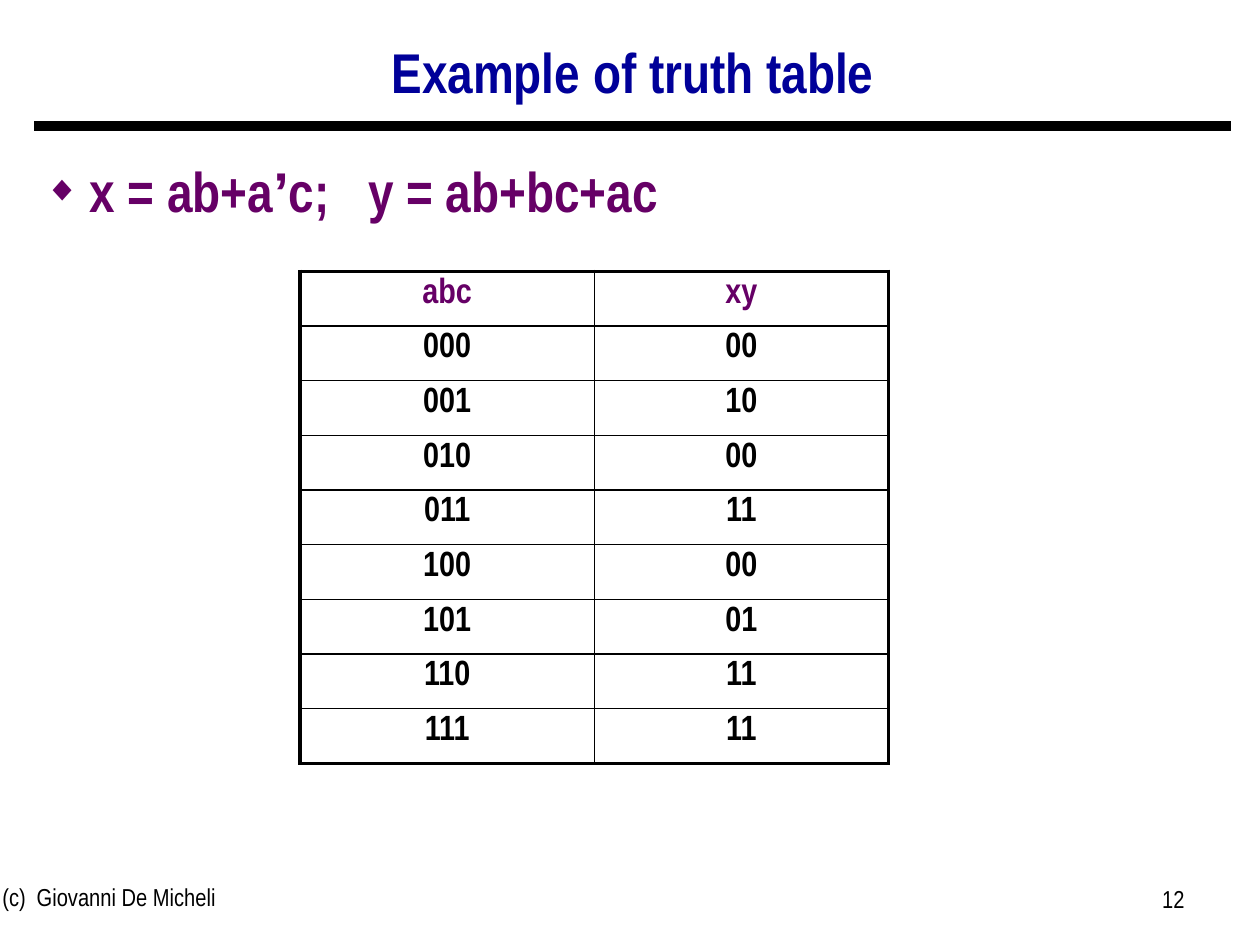
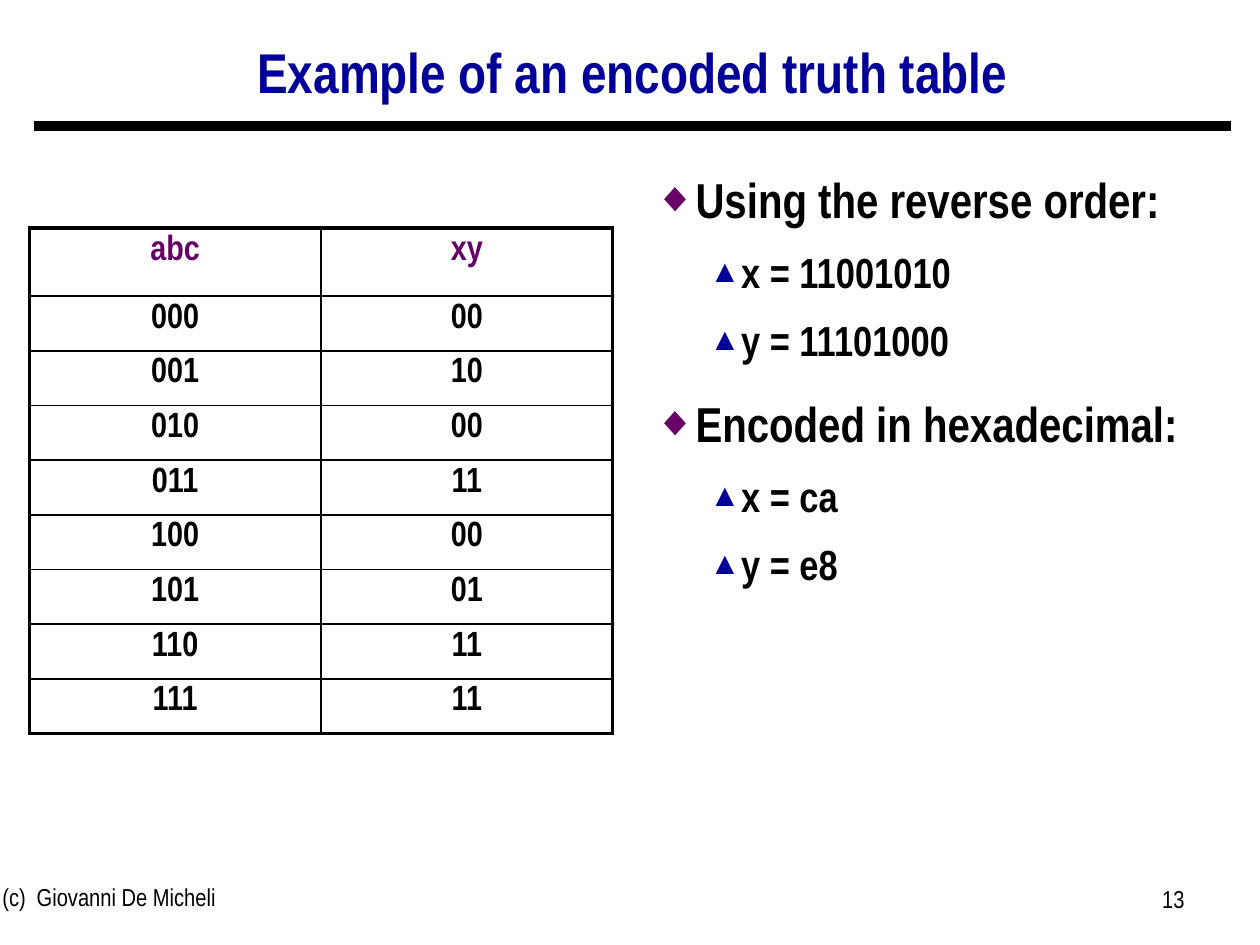
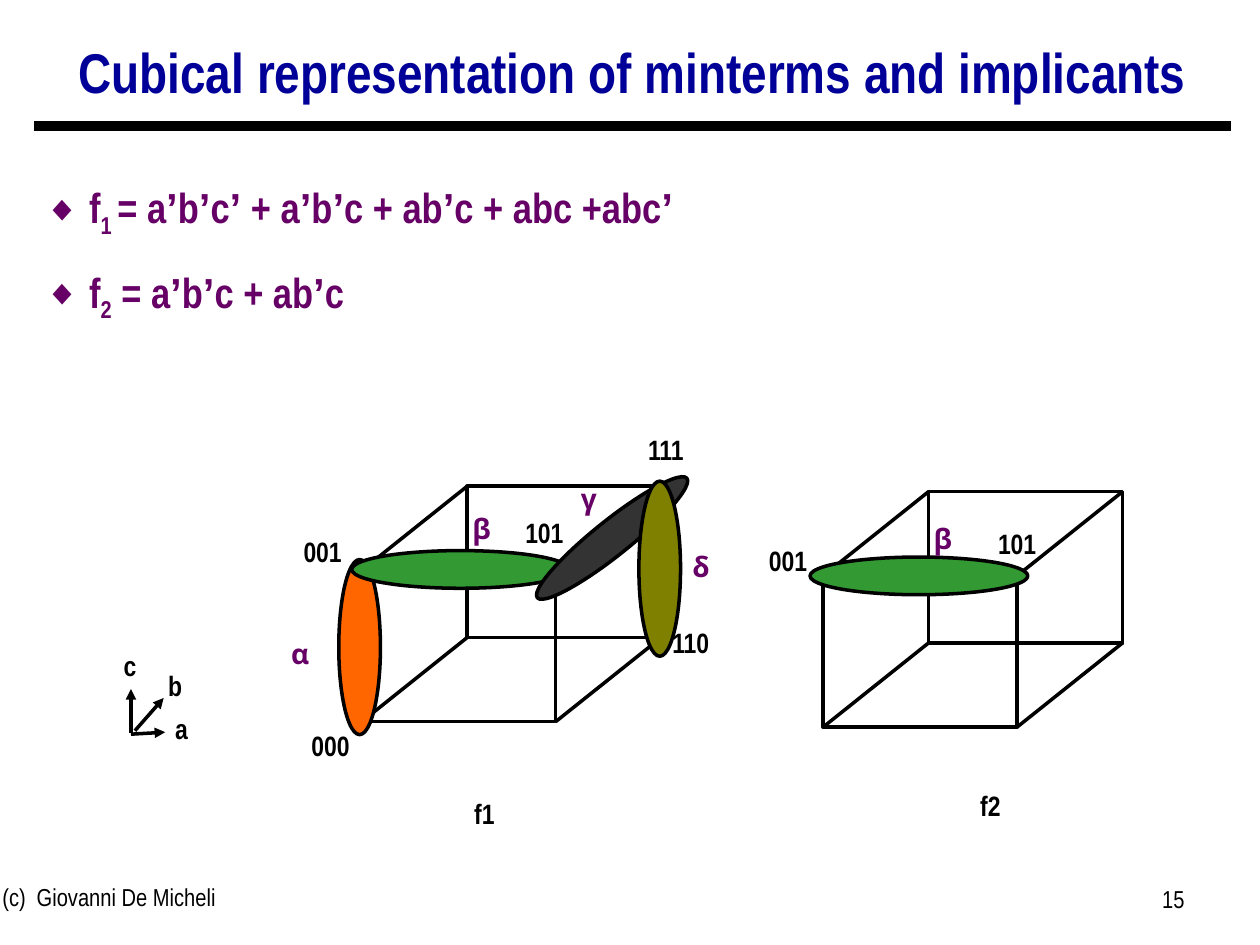
from itertools import groupby, product
from lxml.etree import SubElement as Sub
from pptx import Presentation
from pptx.dml.color import RGBColor as Rgb
from pptx.enum.shapes import MSO_CONNECTOR as Link, MSO_SHAPE as Kind
from pptx.enum.text import MSO_ANCHOR as Anchor, PP_ALIGN as Align
from pptx.oxml.ns import qn
from pptx.util import Cm, Pt

HUE = {"ink": "000000", "blue": "000099", "plum": "660066", "flame": "FF6600",
       "leaf": "339933", "coal": "333333", "olive": "808000"}
FONT = "Arial Narrow"
SUBS = {"₁": "1 ", "₂": "2"}


def write(par, text, size, hue="ink", bold=True, align=Align.LEFT, font=FONT,
          mark=None, tab=None):
    par.alignment = align
    props = par._p.get_or_add_pPr()
    if mark:
        sign, tint, scale, left, hang = mark
        props.set("marL", str(Cm(left)))
        props.set("indent", str(-Cm(hang)))
        Sub(Sub(props, qn("a:buClr")), qn("a:srgbClr"), val=HUE[tint])
        Sub(props, qn("a:buSzPct"), val=str(scale * 1000))
        Sub(props, qn("a:buFont"), typeface="Arial")
        Sub(props, qn("a:buChar"), char=sign)
    if tab:
        Sub(Sub(props, qn("a:tabLst")), qn("a:tab"), pos=str(Cm(tab)), algn="l")
    par.font.name, par.font.size, par.font.bold = font, Pt(size), bold
    par.font.color.rgb = Rgb.from_string(HUE[hue])
    for key, part in groupby(text, lambda c: c if c in "’₁₂" else ""):
        run = par.add_run()
        run.text = SUBS.get(key) or "".join(part)
        if key == "’":
            run.font.name = "Arial"
        elif key in SUBS:
            run.font._element.set("baseline", "-25000")


def draw(slide, start, end, width=2, arrow=False):
    line = slide.shapes.add_connector(
        Link.STRAIGHT, *[Cm(v) for v in (*start, *end)])
    line.line.color.rgb = Rgb.from_string(HUE["ink"])
    line.line.width = Pt(width)
    if arrow:
        Sub(line.line._get_or_add_ln(), qn("a:tailEnd"), type="triangle")
    Sub(line._element.spPr, qn("a:effectLst"))


deck = Presentation()
deck.slide_width, deck.slide_height = Cm(25.4), Cm(19.05)

gem = ("◆", "plum", 85, 0.91, 0.91)
head = ("◆", "plum", 85, 0.79, 0.79)
peak = ("▲", "blue", 75, 1.75, 0.64)
pages = [
    ("Example of truth table", 12, (0.64, 2.69, 17.48, 14.76), [
        ("x = ab+a’c;\ty = ab+bc+ac", 32, "plum", ("◆", "plum", 64, 0.91, 0.91), 6.53)]),
    ("Example of an encoded truth table", 13, (12.94, 3, 11.86, 14.45), [
        ("Using the reverse order:", 28, "ink", head, None),
        ("x = 11001010", 24, "ink", peak, None),
        ("y = 11101000", 24, "ink", peak, None),
        ("Encoded in hexadecimal:", 28, "ink", head, None),
        ("x = ca", 24, "ink", peak, None),
        ("y = e8", 24, "ink", peak, None)]),
    ("Cubical representation of minterms and implicants", 15, (0.64, 3.25, 15.49, 14.2), [
        ("f₁= a’b’c’ + a’b’c + ab’c + abc +abc’", 24, "plum", gem, None),
        ("f₂ = a’b’c + ab’c", 24, "plum", gem, None)]),
]
slides = []
for title, num, area, items in pages:
    slide = deck.slides.add_slide(deck.slide_layouts[6])
    slides.append(slide)
    draw(slide, (0.69, 2.54), (24.82, 2.54), 6)
    for box, text, size, hue, bold, align, tab in [
            ((0.68, 0.56, 24.16, 1.9), title, 32, "blue", True, Align.CENTER, None),
            ((-0.2, 17.65, 8.05, 1.32), "(c)\tGiovanni De Micheli", 14, "ink", False, Align.LEFT, 0.69),
            ((18.21, 17.69, 5.92, 1.32), str(num), 14, "ink", False, Align.RIGHT, None)]:
        frame = slide.shapes.add_textbox(*map(Cm, box)).text_frame
        frame.word_wrap = True
        if text == title:
            frame.vertical_anchor = Anchor.MIDDLE
            frame.paragraphs[0].line_spacing = 0.9
        write(frame.paragraphs[0], text, size, hue, bold, align, tab=tab)
    frame = slide.shapes.add_textbox(*map(Cm, area)).text_frame
    frame.word_wrap = True
    for i, (text, size, hue, mark, tab) in enumerate(items):
        par = frame.add_paragraph() if i else frame.paragraphs[0]
        par.line_spacing = 1.1 if mark == peak else 1.25
        if i:
            par.space_before = Pt(0.3 * size)
        write(par, text, size, hue, mark=mark, tab=tab)

outs = ["00", "10", "00", "11", "00", "01", "11", "11"]
rows = [("abc", "xy")] + [(f"{i:03b}", out) for i, out in enumerate(outs)]
for slide, left, top, wide, first in [(slides[0], 6.05, 5.47, 11.86, 1.09),
                                      (slides[1], 0.59, 4.6, 11.76, 1.37)]:
    grid = slide.shapes.add_table(
        len(rows), 2, Cm(left), Cm(top), Cm(wide), Cm(first + 1.09 * 8)).table
    grid.first_row = grid.horz_banding = False
    for i, row in enumerate(rows):
        grid.rows[i].height = Cm(1.09 if i else first)
        for j, text in enumerate(row):
            cell = grid.cell(i, j)
            props = cell._tc.get_or_add_tcPr()
            for side, outer in [("L", j == 0), ("R", j == 1),
                                ("T", i == 0), ("B", i == len(outs))]:
                edge = Sub(props, qn("a:ln" + side), w=str(Pt(2.25 if outer else 1)))
                Sub(Sub(edge, qn("a:solidFill")), qn("a:srgbClr"), val=HUE["ink"])
            cell.fill.background()
            write(cell.text_frame.paragraphs[0], text, 20, "ink" if i else "plum",
                  align=Align.CENTER)

cubes = slides[2]
for start, end in [((2.72, 14.73), (3.3, 14.07)), ((2.64, 14.78), (2.64, 13.89)),
                   ((2.64, 14.8), (3.33, 14.76))]:
    draw(cubes, start, end, arrow=True)

long, tall, dx, dy = 3.91, 3.05, 2.13, 1.7
for left, top in [(9.42, 9.8), (18.72, 9.91)]:
    for x, y in [(left, top), (left - dx, top + dy)]:
        face = cubes.shapes.add_shape(Kind.RECTANGLE, Cm(x), Cm(y), Cm(long), Cm(tall))
        face.shadow.inherit = False
        face.fill.background()
        face.line.color.rgb = Rgb.from_string(HUE["ink"])
        face.line.width = Pt(2)
    for x, y in product((left, left + long), (top, top + tall)):
        draw(cubes, (x - dx, y + dy), (x, y))

for x, y, w, h, hue, turn in [
        (6.83, 11.28, 0.84, 3.53, "flame", 0), (7.09, 11.1, 4.39, 0.76, "leaf", 0),
        (10.41, 10.49, 3.86, 0.71, "coal", -38.6), (12.88, 9.7, 0.84, 3.53, "olive", 0),
        (16.33, 11.23, 4.39, 0.76, "leaf", 0)]:
    oval = cubes.shapes.add_shape(Kind.OVAL, Cm(x), Cm(y), Cm(w), Cm(h))
    oval.shadow.inherit = False
    oval.rotation = turn
    oval.fill.solid()
    oval.fill.fore_color.rgb = Rgb.from_string(HUE[hue])
    oval.line.color.rgb = Rgb.from_string(HUE["ink"])
    oval.line.width = Pt(2)

for text, x, y in [
        ("111", 12.42, 8.59), ("f1", 8.76, 15.93), ("c", 1.68, 12.95), ("b", 2.59, 13.35),
        ("a", 2.72, 14.22), ("000", 5.66, 14.56), ("001", 5.5, 10.65), ("110", 12.92, 12.48),
        ("101", 9.97, 10.26), ("f2", 18.96, 15.77), ("001", 14.88, 10.84), ("101", 19.5, 10.49),
        ("α", 5.61, 12.7), ("β", 9.27, 10.19), ("γ", 11.43, 9.58), ("δ", 13.69, 10.95),
        ("β", 18.57, 10.38)]:
    greek = text in "αβγδ"
    wide = 0.88 if greek else 1.88 if text in "abc" else 2.01
    frame = cubes.shapes.add_textbox(Cm(x), Cm(y), Cm(wide), Cm(0.94)).text_frame
    frame.word_wrap = True
    frame.margin_left = frame.margin_right = 0
    write(frame.paragraphs[0], text, 16, "plum" if greek else "ink",
          align=Align.CENTER, font="Noto Sans" if greek else FONT)

deck.save("out.pptx")
